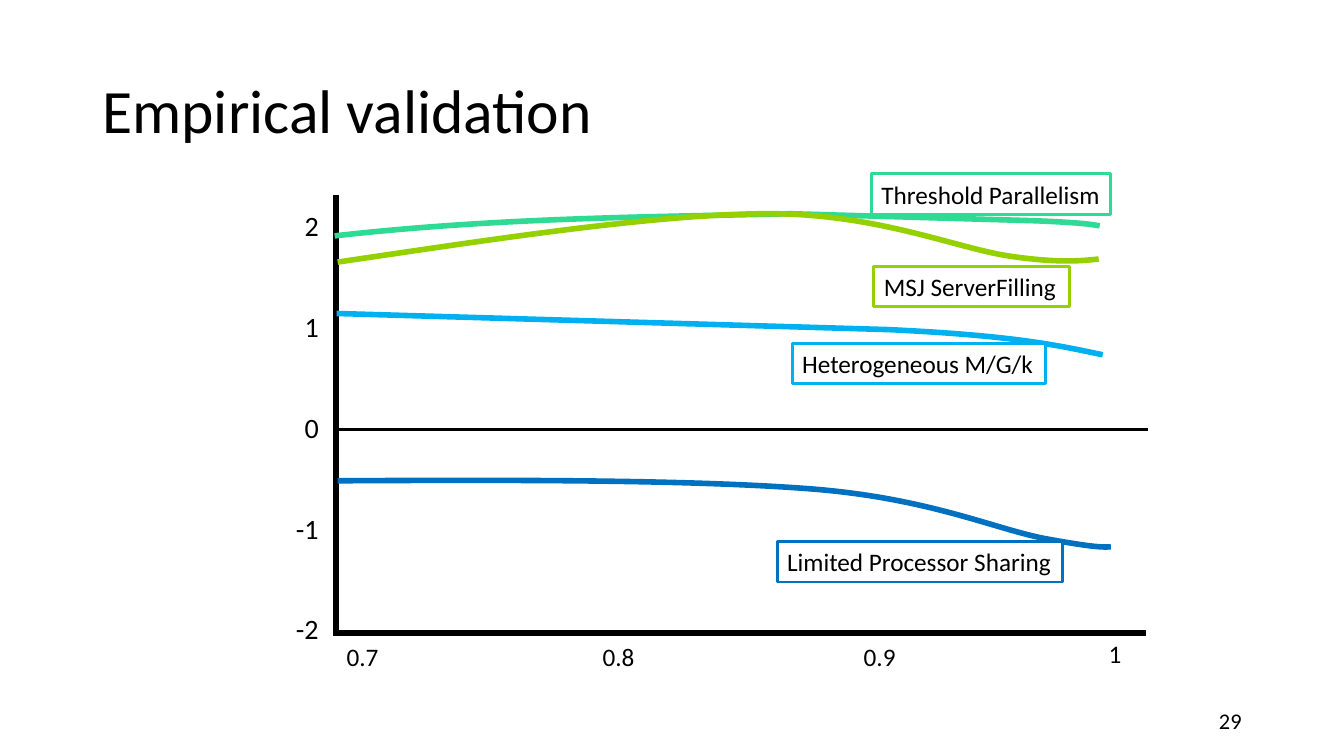
from dataclasses import dataclass

from lxml.etree import SubElement
from pptx import Presentation
from pptx.dml.color import RGBColor
from pptx.enum.shapes import MSO_CONNECTOR as Connector, MSO_SHAPE as Preset
from pptx.enum.text import MSO_ANCHOR as Anchor, PP_ALIGN as Align
from pptx.oxml.ns import qn
from pptx.util import Inches, Pt

SLIDE_WIDTH, SLIDE_HEIGHT = Inches(13.33), Inches(7.5)
COLUMNS, ROWS = 40, 30

Point = tuple[float, float]  # column, row
Segment = tuple[Point, ...]  # one point: straight; three points: cubic curve


@dataclass(frozen=True)
class Theme:
    font: str = "Calibri"
    ink: str = "000000"
    paper: str = "FFFFFF"
    blue: str = "0070C0"
    sky: str = "00B0F0"
    mint: str = "2EDA94"
    lime: str = "95D000"
    title: int = 44
    value: int = 20
    label: int = 18
    number: int = 16
    value_gap: int = 48
    thick: int = 4
    thin: int = 2


@dataclass(frozen=True)
class Area:
    column: float
    row: float
    columns: float
    rows: float = 1.6


@dataclass(frozen=True)
class Series:
    name: str
    color: str
    start: Point
    segments: tuple[Segment, ...]
    label: Area


@dataclass(frozen=True)
class Axis:
    begin: Point
    end: Point
    width: int


THEME = Theme()

# Chart geometry on the grid
ZERO_ROW, BASE_ROW, AXIS_COLUMN = 17.04, 25.12, 10

AXES = (
    Axis((9.96, BASE_ROW), (34.11, BASE_ROW), THEME.thick),
    Axis((AXIS_COLUMN, 25.24), (AXIS_COLUMN, 7.72), THEME.thick),
    Axis((AXIS_COLUMN, ZERO_ROW), (34.17, ZERO_ROW), THEME.thin),
)

LOAD_TICKS = {
    "0.7": Area(10.02, 25.24, 2.13),
    "0.8": Area(17.64, 25.24, 3.48),
    "0.9": Area(25.41, 25.24, 2.85),
    "1": Area(32.7, 25.12, 2.85, 1.4),
}

SERIES = (
    Series("Limited Processor Sharing", THEME.blue, (10.05, 19.08), (
        ((15.33, 19.04), (20.61, 19.04), (24.12, 19.4)),
        ((27.6, 19.76), (29.55, 20.96), (31.05, 21.36)),
        ((32.52, 21.72), (32.79, 21.72), (33.06, 21.7)),
    ), Area(23.13, 21.5, 8.49)),
    Series("Heterogeneous M/G/k", THEME.sky, (10.02, 12.44), (
        ((26.43, 13.08),),
        ((30.24, 13.32), (31.53, 13.72), (32.82, 14.08)),
    ), Area(23.58, 13.62, 7.53)),
    Series("Threshold Parallelism", THEME.mint, (9.96, 9.36), (
        ((14.97, 8.6), (20.04, 8.6), (23.52, 8.48)),
        ((30.78, 8.76),),
        ((32.31, 8.84), (32.52, 8.92), (32.73, 8.96)),
    ), Area(25.94, 6.9, 7.11)),
    Series("MSJ ServerFilling", THEME.lime, (10.05, 10.4), (
        ((14.73, 9.48), (19.41, 8.52), (22.74, 8.48)),
        ((26.04, 8.44), (28.44, 9.84), (30.03, 10.16)),
        ((31.62, 10.48), (32.37, 10.32), (32.7, 10.28)),
    ), Area(26.01, 10.58, 5.82)),
)


def place(point: Point) -> tuple[int, int]:
    column, row = point
    return round(SLIDE_WIDTH * column / COLUMNS), round(SLIDE_HEIGHT * row / ROWS)


def frame(area: Area) -> tuple[int, int, int, int]:
    return *place((area.column, area.row)), *place((area.columns, area.rows))


def write(shape, lines: list[str], size: int, align: Align = Align.LEFT,
          anchor: Anchor = Anchor.TOP, gap: int = 0, spacing: float = 1.0) -> None:
    text_frame = shape.text_frame
    text_frame.word_wrap = True
    text_frame.vertical_anchor = anchor
    for index, line in enumerate(lines):
        paragraph = text_frame.add_paragraph() if index else text_frame.paragraphs[0]
        paragraph.alignment = align
        paragraph.line_spacing = spacing
        if index:
            paragraph.space_before = Pt(gap)
        run = paragraph.add_run()
        run.text = line
        run.font.name = THEME.font
        run.font.size = Pt(size)
        run.font.color.rgb = RGBColor.from_string(THEME.ink)


def add_text(slide, area: Area, lines: list[str], size: int, **layout) -> None:
    write(slide.shapes.add_textbox(*frame(area)), lines, size, **layout)


def set_line(shape, color: str, width: int) -> None:
    shape.line.color.rgb = RGBColor.from_string(color)
    shape.line.width = Pt(width)


def add_axis(slide, axis: Axis) -> None:
    connector = slide.shapes.add_connector(
        Connector.STRAIGHT, *place(axis.begin), *place(axis.end))
    set_line(connector, THEME.ink, axis.width)
    SubElement(connector._element.spPr, qn("a:effectLst"))


def bend(shape, segments: tuple[Segment, ...]) -> None:
    """Turn the straight steps of an outline into cubic curves."""
    steps = list(shape._element.iter(qn("a:lnTo")))
    for step, segment in zip(steps, segments):
        if len(segment) == 1:
            continue
        step.clear()
        curve = step.makeelement(qn("a:cubicBezTo"))
        for point in segment:
            x, y = place(point)
            SubElement(curve, qn("a:pt"), x=str(x - shape.left), y=str(y - shape.top))
        step.getparent().replace(step, curve)


def add_series(slide, series: Series) -> None:
    builder = slide.shapes.build_freeform(*place(series.start))
    builder.add_line_segments(
        [place(segment[-1]) for segment in series.segments], close=False)
    curve = builder.convert_to_shape()
    bend(curve, series.segments)
    curve.shadow.inherit = False
    curve.fill.background()
    set_line(curve, series.color, THEME.thick)

    label = slide.shapes.add_shape(Preset.RECTANGLE, *frame(series.label))
    label.shadow.inherit = False
    label.fill.solid()
    label.fill.fore_color.rgb = RGBColor.from_string(THEME.paper)
    set_line(label, series.color, THEME.thin)
    write(label, [series.name], THEME.label)


def main() -> None:
    presentation = Presentation()
    presentation.slide_width, presentation.slide_height = SLIDE_WIDTH, SLIDE_HEIGHT
    slide = presentation.slides.add_slide(presentation.slide_layouts[6])

    # Title and slide number
    add_text(slide, Area(2.75, 1.6, 34.5, 5.8), ["Empirical validation"],
             THEME.title, anchor=Anchor.MIDDLE, spacing=0.9)
    add_text(slide, Area(28.25, 27.8, 9), ["29"], THEME.number,
             align=Align.RIGHT, anchor=Anchor.MIDDLE)

    # Axes and their values
    for text, area in LOAD_TICKS.items():
        add_text(slide, area, [text], THEME.label)
    for axis in AXES:
        add_axis(slide, axis)
    add_text(slide, Area(8.37, 8.08, 1.41, 17.92),
             [str(value) for value in range(2, -3, -1)], THEME.value,
             align=Align.RIGHT, gap=THEME.value_gap)

    # Curves with their labels
    for series in SERIES:
        add_series(slide, series)

    presentation.save("out.pptx")


if __name__ == "__main__":
    main()
